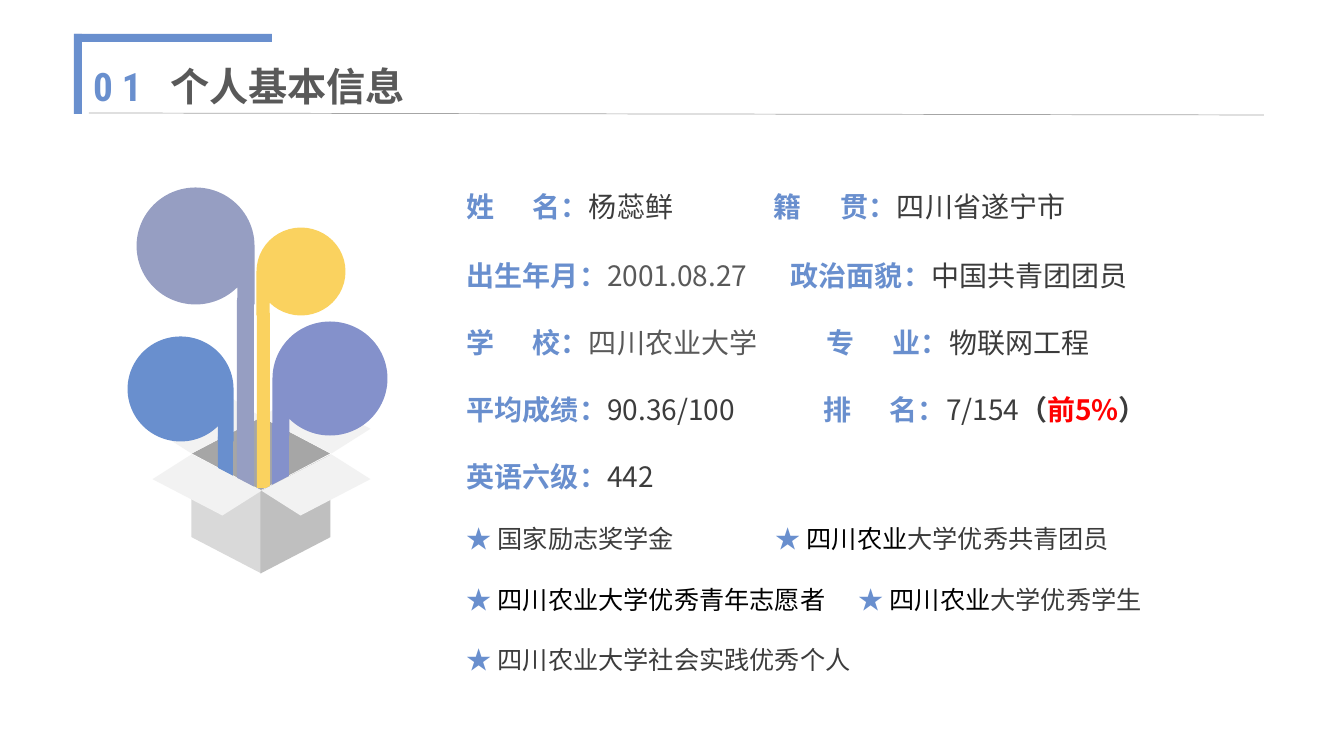
from lxml.etree import SubElement
from pptx import Presentation
from pptx.dml.color import RGBColor
from pptx.enum.shapes import MSO_CONNECTOR, MSO_SHAPE as Kind
from pptx.enum.text import MSO_ANCHOR, MSO_AUTO_SIZE
from pptx.oxml import parse_xml
from pptx.oxml.ns import nsdecls, qn
from pptx.util import Pt

HEX = {
    "blue": "698FCE", "gray": "595959", "ink": "3C3C3C", "black": "000000",
    "red": "FF0000", "rule": "A6A6A6", "flap": "F2F2F2", "left": "D9D9D9",
    "right": "BFBFBF", "gold": "FAD25F", "violet": "8491CB", "slate": "969EC2",
}
SANS, SLIM = "Noto Sans CJK SC", "Roboto Condensed"

TITLE = [("0 1\t", "blue", True), ("个人基本信息", "gray", True)]
STAR = ("★ ", "blue", False)
FACTS = [
    ((66, 307, 374), [("姓\t名：", "blue", True), ("杨蕊鲜", "ink", False),
                      ("\t", "black", False, 24), ("籍\t贯：", "blue", True),
                      ("四川省遂宁市", "ink", False)]),
    ((324,), [("出生年月：", "blue", True), ("2001.08.27\t", "gray", False),
              ("政治面貌：", "blue", True), ("中国共青团团员", "ink", False)]),
    ((66, 360, 426), [("学\t校：", "blue", True), ("四川农业大学\t", "gray", False),
                      ("专\t业：", "blue", True), ("物联网工程", "ink", False)]),
    ((66, 357, 423), [("平均成绩：", "blue", True), ("90.36/100\t", "ink", False),
                      ("排\t名：", "blue", True), ("7/154", "ink", False),
                      ("（", "ink", True), ("前5%", "red", True), ("）", "ink", True)]),
    ((), [("英语六级：", "blue", True), ("442", "ink", False)]),
]
AWARDS = [
    ((309,), [STAR, ("国家励志奖学金\t", "ink", False), STAR,
              ("四川农业", "black", False), ("大学优秀共青团员", "ink", False)]),
    ((392,), [STAR, ("四川农业大学优秀青年志愿者\t", "black", False), STAR,
              ("四川农业", "black", False), ("大学优秀学生", "ink", False)]),
    ((), [STAR, ("四川农业大学社会实践优秀个人", "ink", False)]),
]

RECT, TAPE, SLANT = Kind.RECTANGLE, Kind.FLOWCHART_SEQUENTIAL_ACCESS_STORAGE, Kind.PARALLELOGRAM
BARS = [(RECT, (74, 34, 8, 80), "blue"), (RECT, (74, 34, 198, 8), "blue")]
BOX = [
    (Kind.FLOWCHART_DECISION, (192, 417, 138, 73), "rule"),
    (SLANT, (265, 403, 102, 40), "flap", 27.5, "", 0.58),
    (SLANT, (156, 403, 102, 40), "flap", 332.5, "flipV", 0.58),
    (TAPE, (128, 336, 105, 106), "blue", 270, "flipH"),
    (TAPE, (257, 227, 88, 89), "gold", 90),
    (RECT, (257, 313, 13, 175), "gold"),
    (TAPE, (273, 321, 114, 115), "violet", 90),
    (RECT, (272, 423, 17, 67), "violet"),
    (RECT, (218, 423, 15, 67), "blue"),
    (TAPE, (137, 187, 117, 118), "slate", 270, "flipH"),
    (RECT, (237, 300, 17, 188), "slate"),
    (SLANT, (167, 479, 119, 70), "left", 90, "", 0.52),
    (SLANT, (236, 479, 119, 70), "right", 270, "flipV", 0.52),
    (SLANT, (265, 465, 102, 40), "flap", 332.5, "flipV", 0.58),
    (SLANT, (156, 465, 102, 40), "flap", 27.5, "", 0.58),
]


def px(n):
    return round(n * 914400 / 100.8)


def tint(name):
    return RGBColor.from_string(HEX[name])


def draw(home, kind, area, color, turn=0, flip="", skew=None):
    shape = home.add_shape(kind, *map(px, area))
    shape.shadow.inherit = False
    shape.fill.solid()
    shape.fill.fore_color.rgb = tint(color)
    shape.line.fill.background()
    shape.rotation = turn
    if flip:
        shape._element.spPr.xfrm.set(flip, "1")
    if skew is not None:
        shape.adjustments[0] = skew


def write(para, runs, size, gap, tabs):
    para.line_spacing = gap
    para.font.name, para.font.size = SANS, Pt(size)
    props = para._p.get_or_add_pPr()
    base = props.find(qn("a:defRPr"))
    SubElement(base, qn("a:ea")).set("typeface", SANS)
    if tabs:
        stops = parse_xml(f"<a:tabLst {nsdecls('a')}/>")
        for stop in tabs:
            SubElement(stops, qn("a:tab"), pos=str(px(stop)), algn="l")
        base.addprevious(stops)
    for text, color, bold, *big in runs:
        run = para.add_run()
        run.text = text
        run.font.bold = bold
        run.font.color.rgb = tint(color)
        if big:
            run.font.size = Pt(big[0])


def frame(area):
    text = slide.shapes.add_textbox(*map(px, area)).text_frame
    text.word_wrap = True
    return text


deck = Presentation()
deck.slide_width, deck.slide_height = px(1344), px(756)
slide = deck.slides.add_slide(deck.slide_layouts[6])

head = frame((74, 23, 1196, 92))
head.vertical_anchor = MSO_ANCHOR.BOTTOM
head.margin_left = px(19)
para = head.paragraphs[0]
write(para, TITLE, 28, 0.9, (77,))
para.runs[0].font.name = SLIM

body = frame((457, 139, 848, 546))
body.auto_size = MSO_AUTO_SIZE.SHAPE_TO_FIT_TEXT
rows = [(20, *row) for row in FACTS] + [(18, *row) for row in AWARDS]
for i, (size, tabs, runs) in enumerate(rows):
    para = body.add_paragraph() if i else body.paragraphs[0]
    write(para, runs, size, 2.0, tabs)

for bar in BARS:
    draw(slide.shapes, *bar)

rule = slide.shapes.add_connector(MSO_CONNECTOR.STRAIGHT, px(89), px(113), px(1264), px(115))
rule.line.color.rgb = tint("rule")
rule.line.width = Pt(0.5)
SubElement(rule._element.spPr, qn("a:effectLst"))

group = slide.shapes.add_group_shape()
for part in BOX:
    draw(group.shapes, *part)

deck.save("out.pptx")
